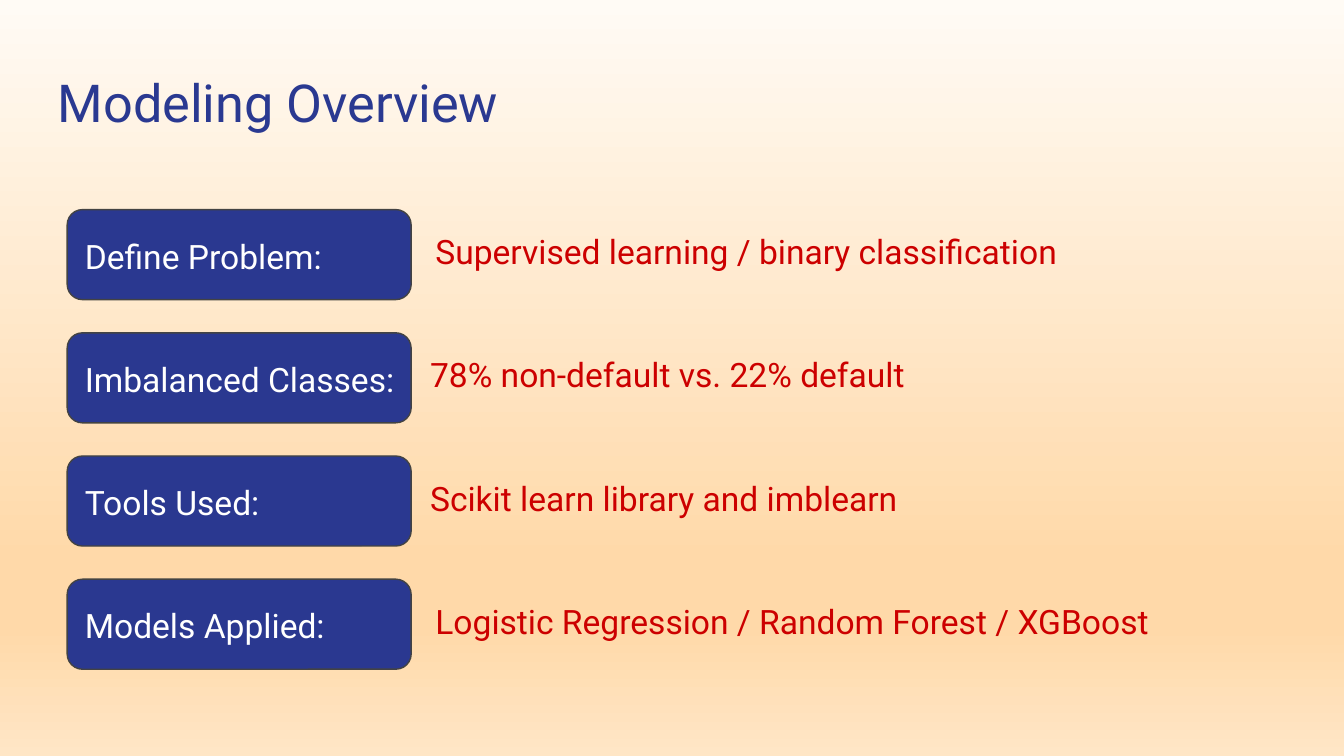
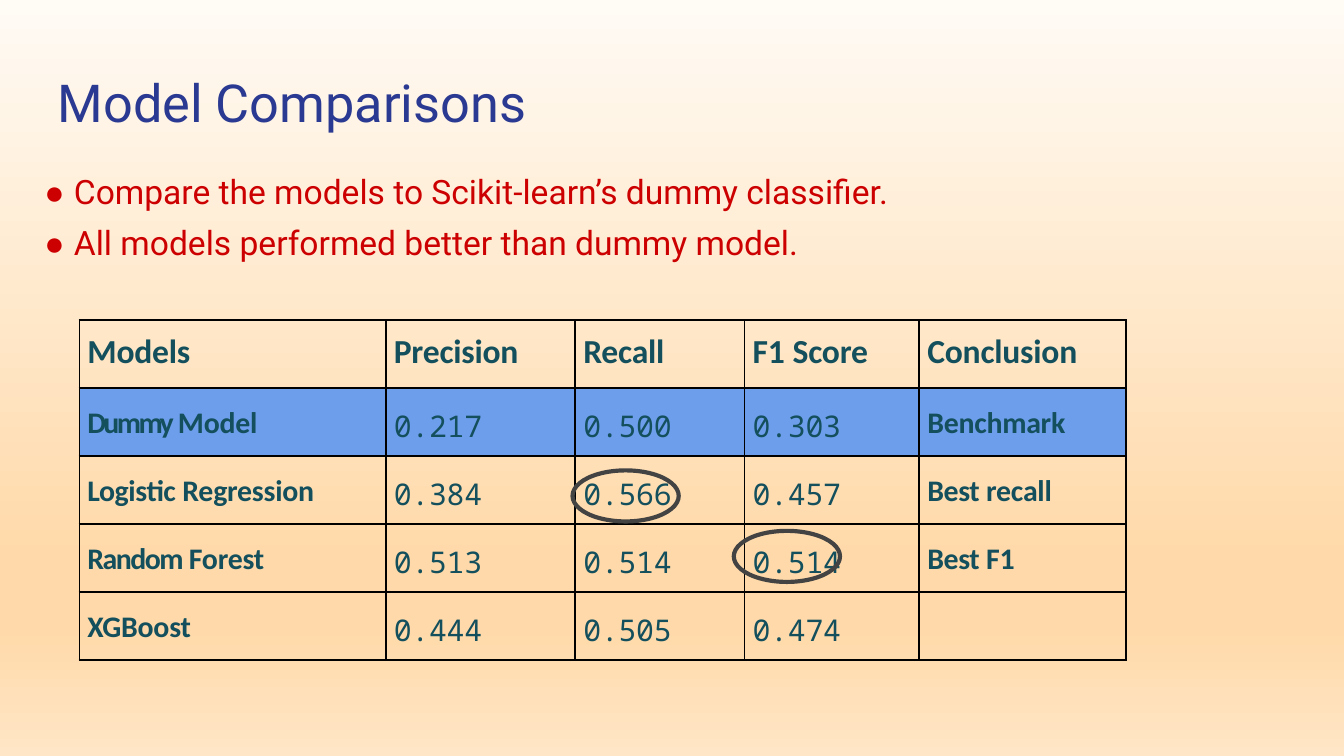
from copy import deepcopy

from lxml.etree import SubElement
from pptx import Presentation
from pptx.dml.color import RGBColor
from pptx.enum.shapes import MSO_SHAPE as SHAPE
from pptx.enum.text import MSO_ANCHOR as ANCHOR, MSO_AUTO_SIZE as AUTO_SIZE, PP_ALIGN as ALIGN
from pptx.oxml import parse_xml
from pptx.oxml.ns import nsdecls, qn
from pptx.util import Inches, Pt

COLORS = {
    "title": "2A3991", "label": "2A3890", "outline": "434343", "white": "FFFFFF",
    "body": "CC0000", "table": "134F5C", "benchmark": "6C9EEB", "border": "000000",
}
BACKDROP = [(0, "FFFBF5"), (74, "FFD9A9"), (83, "FFD9A9"), (100, "FFE6C6")]
BODY_FONT, BULLET_FONT = "Roboto", "Arial"
TABLE_FONT, NUMBER_FONT = "Calibri", "Noto Sans Mono"

OVERVIEW_TITLE = ("Modeling Overview", 3.54)
OVERVIEW = [
    ("Define Problem:", "Supervised learning / binary classification", 3.23, 4.9),
    ("Imbalanced Classes:", "78% non-default vs. 22% default", 3.19, 3.75),
    ("Tools Used:", "Scikit learn library and imblearn", 3.19, 3.69),
    ("Models Applied:", "Logistic Regression / Random Forest / XGBoost", 3.23, 5.62),
]
COMPARISON_TITLE = ("Model Comparisons", 3.75)
BULLET = "● "
FINDINGS = [
    "Compare the models to Scikit-learn’s dummy classifier.",
    "All models performed better than dummy model.",
]
SCORES = [
    ("Models", "Precision", "Recall", "F1 Score", "Conclusion"),
    ("Dummy Model", "0.217", "0.500", "0.303", "Benchmark"),
    ("Logistic Regression", "0.384", "0.566", "0.457", "Best recall"),
    ("Random Forest", "0.513", "0.514", "0.514", "Best F1"),
    ("XGBoost", "0.444", "0.505", "0.474", ""),
]
COLUMN_WIDTHS = [2.28, 1.41, 1.26, 1.3, 1.54]
TABLE_HEIGHT = 2.53
LEAD_TRACKING = {"F1": 0, "Dummy": -1.4, "Logistic": -0.2, "Random": -0.8, "Best": -0.2}
TRACKING = -0.1
BEST_SCORE_RINGS = [(4.26, 3.5), (5.46, 3.95)]


def rgb(name):
    return RGBColor.from_string(COLORS[name])


def box(left, top, width, height):
    return [Inches(value) for value in (left, top, width, height)]


def style(paragraph, size, color, font=BODY_FONT, before=1, bold=False):
    paragraph.alignment = ALIGN.LEFT
    paragraph.space_before = Pt(before)
    paragraph.font.size = Pt(size)
    paragraph.font.name = font
    paragraph.font.bold = bold
    paragraph.font.color.rgb = rgb(color)


def set_frame(frame, left=0.01, top=0.01):
    frame.word_wrap = True
    frame.auto_size = AUTO_SIZE.NONE
    frame.vertical_anchor = ANCHOR.TOP
    frame.margin_left, frame.margin_top = Inches(left), Inches(top)
    frame.margin_right = frame.margin_bottom = 0


def write(frame, text, size, color, left=0.01, top=0.01):
    set_frame(frame, left, top)
    frame.text = text
    style(frame.paragraphs[0], size, color)


def paint_backdrop(master):
    fill = master.background.fill
    fill.gradient()
    fill.gradient_angle = 270
    stops = next(master.element.iter(qn("a:gsLst")))
    for _ in range(len(BACKDROP) - len(stops)):
        stops.append(deepcopy(stops[0]))
    for stop, (position, color) in zip(stops, BACKDROP):
        stop.set("pos", str(position * 1000))
        for child in list(stop):
            stop.remove(child)
        SubElement(stop, qn("a:srgbClr"), val=color)


def add_titled_slide(deck, text, width):
    slide = deck.slides.add_slide(deck.slide_layouts[5])
    title = slide.shapes.title
    title.left, title.top, title.width, title.height = box(0.42, 0.51, width, 0.49)
    write(title.text_frame, text, 28, "title")
    return slide


def add_outlined(slide, kind, bounds, line_width):
    shape = slide.shapes.add_shape(kind, *box(*bounds))
    shape.shadow.inherit = False
    shape.line.color.rgb = rgb("outline")
    shape.line.width = Pt(line_width)
    return shape


def build_overview(deck):
    slide = add_titled_slide(deck, *OVERVIEW_TITLE)
    for index, (topic, answer, left, width) in enumerate(OVERVIEW):
        top = 1.56 + index * 2.75 / 3
        label = add_outlined(slide, SHAPE.ROUNDED_RECTANGLE, (0.5, top, 2.56, 0.67), 0.75)
        label.adjustments[0] = 0.17
        label.fill.solid()
        label.fill.fore_color.rgb = rgb("label")
        write(label.text_frame, topic, 18, "white", 0.1, 0.16)
        detail = slide.shapes.add_textbox(*box(left, top + 0.15, width, 0.32))
        write(detail.text_frame, answer, 18, "body")


def add_findings(slide):
    frame = slide.shapes.add_textbox(*box(0.33, 1.22, 6.5, 0.74)).text_frame
    set_frame(frame, 0, 0.05)
    frame.text = "\n".join([BULLET] * len(FINDINGS))
    for paragraph, finding in zip(frame.paragraphs, FINDINGS):
        style(paragraph, 18, "body", before=6)
        paragraph.runs[0].font.name = BULLET_FONT
        paragraph.add_run().text = finding


def add_borders(cell):
    properties = cell._tc.get_or_add_tcPr()
    for position, side in enumerate("LRTB"):
        properties.insert(position, parse_xml(
            f'<a:ln{side} {nsdecls("a")} w="{Pt(1)}"><a:solidFill>'
            f'<a:srgbClr val="{COLORS["border"]}"/></a:solidFill></a:ln{side}>'))


def write_cell(cell, text, heading, number):
    before = 6.5 if heading else 9.6
    cell.margin_left = Inches(0.06)
    cell.margin_top = Inches(0.09 if heading else 0.13)
    cell.margin_right = cell.margin_bottom = 0
    paragraph = cell.text_frame.paragraphs[0]
    style(paragraph, 18 if heading else 16, "table",
          NUMBER_FONT if number else TABLE_FONT, before, not number)
    lead, space, rest = text.partition(" ")
    for part, tracking in ((lead + space, LEAD_TRACKING.get(lead, TRACKING)), (rest, TRACKING)):
        if part:
            run = paragraph.add_run()
            run.text = part
            run._r.get_or_add_rPr().set("spc", str(round(tracking * 100)))


def add_scores(slide):
    bounds = box(0.59, 2.38, sum(COLUMN_WIDTHS), TABLE_HEIGHT)
    table = slide.shapes.add_table(len(SCORES), len(COLUMN_WIDTHS), *bounds).table
    table.first_row = table.horz_banding = False
    for column, width in zip(table.columns, COLUMN_WIDTHS):
        column.width = Inches(width)
    for row, scores in enumerate(SCORES):
        for column, text in enumerate(scores):
            cell = table.cell(row, column)
            write_cell(cell, text, row == 0, row > 0 and 0 < column < 4)
            if row == 1:
                cell.fill.solid()
                cell.fill.fore_color.rgb = rgb("benchmark")
            else:
                cell.fill.background()
            add_borders(cell)


def build_comparison(deck):
    slide = add_titled_slide(deck, *COMPARISON_TITLE)
    add_scores(slide)
    add_findings(slide)
    for left, top in BEST_SCORE_RINGS:
        ring = add_outlined(slide, SHAPE.OVAL, (left, top, 0.79, 0.38), 2.25)
        ring.fill.background()


def main():
    deck = Presentation()
    deck.slide_width, deck.slide_height = Inches(10), Inches(10 * 9 / 16)
    paint_backdrop(deck.slide_master)
    build_overview(deck)
    build_comparison(deck)
    deck.save("out.pptx")


if __name__ == "__main__":
    main()
